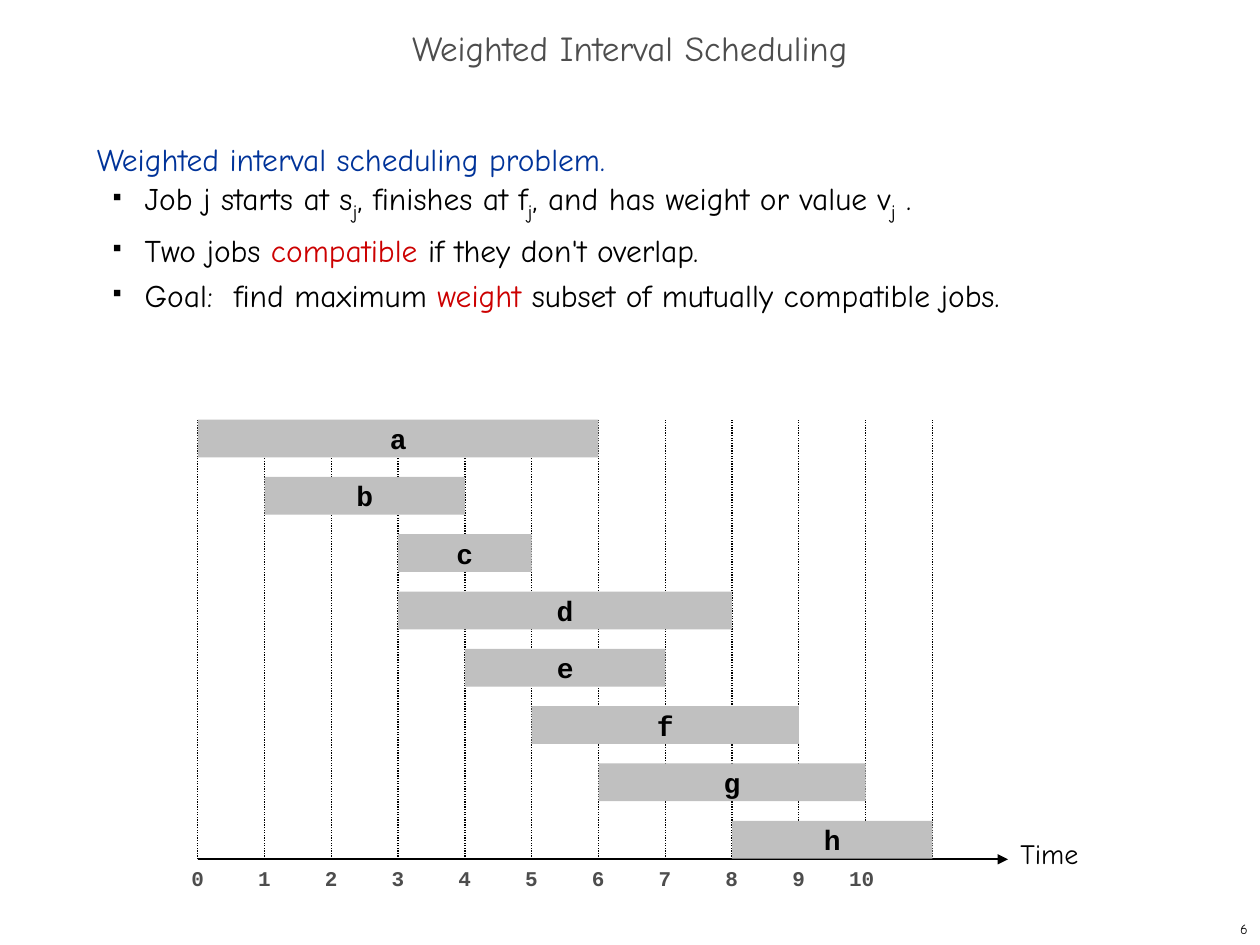
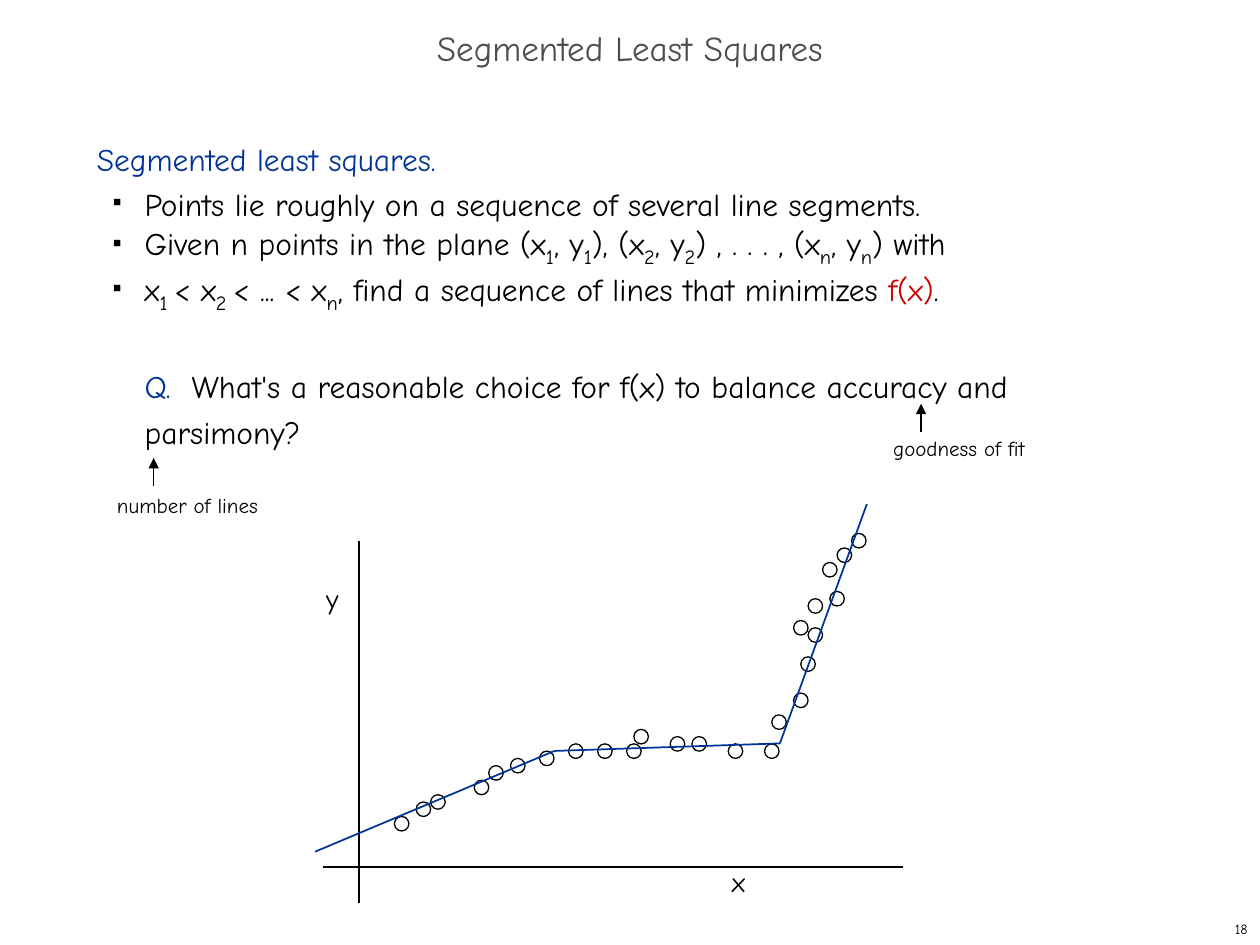
from itertools import pairwise

from lxml import etree
from pptx import Presentation
from pptx import util as u
from pptx.dml.color import RGBColor
from pptx.enum import dml, shapes, text
from pptx.oxml.ns import qn

COLS, ROWS = 100, 75
BLACK, GREY, BAR = "000000", "4D4D4D", "C0C0C0"
BLUE, RED = "003399", "CC0000"
SANS, MONO = "Comic Neue", "Courier New"
LEFT, CENTER, RIGHT = (text.PP_ALIGN.LEFT, text.PP_ALIGN.CENTER,
                       text.PP_ALIGN.RIGHT)
TOP, MIDDLE = text.MSO_ANCHOR.TOP, text.MSO_ANCHOR.MIDDLE


def rgb(color):
    return RGBColor.from_string(color)


def sub(s):
    """A subscript run."""
    return s, {"size": 20, "baseline": -25}


def red(s):
    return s, {"color": RED}


def blue(s):
    return s, {"color": BLUE}


class Deck:
    """Shared style and the current slide; lengths are grid columns and rows."""

    def __init__(self):
        self.prs = Presentation()
        self.prs.slide_width = u.Inches(10)
        self.prs.slide_height = u.Inches(7.5)

    def x(self, cols):
        return round(self.prs.slide_width * cols / COLS)

    def y(self, rows):
        return round(self.prs.slide_height * rows / ROWS)

    def box(self, left, top, width, height):
        return self.x(left), self.y(top), self.x(width), self.y(height)

    def new_slide(self, title, number):
        self.s = self.prs.slides.add_slide(self.prs.slide_layouts[6])
        self.label(number, (79.2, 72.5, 20.8, 2.5), size=8, align=RIGHT,
                   anchor=MIDDLE)
        tf = self.label(title, (0, 1.7, 100, 5), size=20, color=GREY,
                        align=CENTER, anchor=MIDDLE)
        tf.paragraphs[0].line_spacing = 0.7

    def run(self, p, content, size=18, color=BLACK, font=SANS, bold=False):
        words, style = content if isinstance(content, tuple) else (content, {})
        r = p.add_run()
        r.text = words
        values = {"size": u.Pt(style.get("size", size)), "name": font,
                  "bold": bold}
        for name, value in values.items():
            setattr(r.font, name, value)
        r.font.color.rgb = rgb(style.get("color", color))
        if "baseline" in style:
            r._r.get_or_add_rPr().set("baseline", str(style["baseline"] * 1000))

    def frame(self, sp, wrap=True, anchor=TOP):
        tf = sp.text_frame
        values = {"word_wrap": wrap, "vertical_anchor": anchor,
                  "margin_left": u.Inches(0.1), "margin_right": u.Inches(0.1),
                  "margin_top": u.Inches(0.05),
                  "margin_bottom": u.Inches(0.05)}
        for name, value in values.items():
            setattr(tf, name, value)
        return tf

    def label(self, words, at, wrap=True, align=LEFT, anchor=TOP, **style):
        sp = self.s.shapes.add_textbox(*self.box(*at))
        tf = self.frame(sp, wrap, anchor)
        tf.paragraphs[0].alignment = align
        self.run(tf.paragraphs[0], words, **style)
        return tf

    def indent(self, p, hanging):
        pPr = p._p.get_or_add_pPr()
        pPr.set("marL", str(u.Inches(0.38)))
        pPr.set("indent", str(u.Inches(-0.25) if hanging else 0))
        return pPr

    def bullet(self, p):
        pPr = self.indent(p, hanging=True)
        clr = etree.SubElement(pPr, qn("a:buClr"))
        etree.SubElement(clr, qn("a:srgbClr"), val=BLACK)
        etree.SubElement(pPr, qn("a:buSzPct"), val="35000")
        etree.SubElement(pPr, qn("a:buChar"), char="■")

    def body(self, heading, bullets, question=None):
        sp = self.s.shapes.add_textbox(*self.box(6.7, 10, 85.8, 59.2))
        tf = self.frame(sp)
        paragraphs = [[blue(heading)], *bullets]
        if question:
            paragraphs.append(question)
        for i, runs in enumerate(paragraphs):
            p = tf.paragraphs[0] if i == 0 else tf.add_paragraph()
            if runs is question:
                self.indent(p, hanging=False)
                p.space_before = u.Pt(26)
            elif i:
                self.bullet(p)
            p.line_spacing = u.Pt(26)
            for content in runs:
                self.run(p, content)

    def line(self, start, end, width=0.75, color=BLACK, dash=None, arrow=False):
        sp = self.s.shapes.add_connector(
            shapes.MSO_CONNECTOR.STRAIGHT, self.x(start[0]), self.y(start[1]),
            self.x(end[0]), self.y(end[1]))
        sp.line.color.rgb = rgb(color)
        sp.line.width = u.Pt(width)
        if dash:
            sp.line.dash_style = dash
        if arrow:
            etree.SubElement(sp.line._get_or_add_ln(), qn("a:tailEnd"),
                             type="triangle")
        etree.SubElement(sp._element.spPr, qn("a:effectLst"))

    def shape(self, kind, at, fill=None, line=None):
        sp = self.s.shapes.add_shape(kind, *self.box(*at))
        sp.shadow.inherit = False
        if fill:
            sp.fill.solid()
            sp.fill.fore_color.rgb = rgb(fill)
        else:
            sp.fill.background()
        if line:
            sp.line.color.rgb = rgb(line)
            sp.line.width = u.Pt(0.75)
        else:
            sp.line.fill.background()
        return sp

    def job(self, name, at):
        sp = self.shape(shapes.MSO_SHAPE.RECTANGLE, at, fill=BAR)
        p = self.frame(sp, wrap=False, anchor=MIDDLE).paragraphs[0]
        p.alignment = CENTER
        self.run(p, name, size=16, font=MONO, bold=True)


def interval_slide(d):
    d.new_slide("Weighted Interval Scheduling", "6")
    d.body("Weighted interval scheduling problem.", [
        ["Job j starts at s", sub("j"), ", finishes at f", sub("j"),
         ", and has weight or value v", sub("j"), " ."],
        ["Two jobs ", red("compatible "), "if they don't overlap."],
        ["Goal:  find maximum ", red("weight"),
         " subset of mutually compatible jobs."],
    ])

    # Time axis and hour lines
    origin, hour, top, axis = 15.7, 5.3, 33.3, 68.2
    d.line((origin, axis), (80, axis), width=1.25, arrow=True)
    d.label("Time", (80, 65.9, 8.3, 3.7), size=16)
    for t in range(12):
        at = origin + t * hour
        d.line((at, axis), (at, top), dash=dml.MSO_LINE.ROUND_DOT)
        if t <= 10:
            shift = 2.3 if t == 10 else 1.5
            d.label(str(t), (at - shift, axis, 4.6, 3), size=12, color=GREY,
                    font=MONO, bold=True)

    # Jobs: start and finish hours, one row each
    jobs = {"a": (0, 6), "b": (1, 4), "c": (3, 5), "d": (3, 8),
            "e": (4, 7), "f": (5, 9), "g": (6, 10), "h": (8, 11)}
    for row, (name, (start, finish)) in enumerate(jobs.items()):
        d.job(name, (origin + start * hour, top + row * 4.55,
                     (finish - start) * hour, 3))


def segment_slide(d):
    d.new_slide("Segmented Least Squares", "18")
    d.body("Segmented least squares.", [
        ["Points lie roughly on a sequence of several line segments."],
        ["Given n points in the plane (x", sub("1"), ", y", sub("1"), "), (x",
         sub("2"), ", y", sub("2"), ") , . . . , (x", sub("n"), ", y",
         sub("n"), ") with"],
        ["x", sub("1 "), "< x", sub("2 "), "< ... < x", sub("n"),
         ", find a sequence of lines that minimizes ", red("f(x)"), "."],
    ], [blue("Q.  "), "What's a reasonable choice for f(x) to balance "
        "accuracy and parsimony?"])

    # Axes
    d.line((28.5, 42.9), (28.5, 71.7))
    d.line((25.6, 68.8), (71.7, 68.8))

    # Data points in plot steps from the lowest point
    step, left, bottom = 0.576, 31.3, 64.8
    points = [(0, 0), (3, 2), (5, 3), (11, 5), (13, 7), (16, 8), (20, 9),
              (24, 10), (28, 10), (32, 10), (33, 12), (38, 11), (41, 11),
              (46, 10), (51, 10), (52, 14), (55, 17), (56, 22), (57, 26),
              (55, 27), (57, 30), (60, 31), (59, 35), (61, 37), (63, 39)]
    for px, py in points:
        d.shape(shapes.MSO_SHAPE.OVAL,
                (left + px * step, bottom - py * step, 2 * step, 2 * step),
                line=BLACK)

    # Fitted segments
    bends = [(25, 67.6), (44, 59.6), (61.9, 59), (68.8, 40)]
    for start, end in pairwise(bends):
        d.line(start, end, width=1, color=BLUE)

    # Axis names and notes
    for words, at, size in [("x", (57.1, 68.1, 3.1, 3.7), 16),
                            ("y", (24.9, 45.7, 3, 3.7), 16),
                            ("goodness of fit", (69.9, 34.1, 12.5, 3), 12),
                            ("number of lines", (8.3, 38.6, 13.2, 3), 12)]:
        d.label(words, at, wrap=False, size=size)
    for col, row in [(73.1, 34.3), (12.2, 38.6)]:
        d.line((col, row), (col, row - 2.25), arrow=True)


def main():
    d = Deck()
    interval_slide(d)
    segment_slide(d)
    d.prs.save("out.pptx")


if __name__ == "__main__":
    main()
